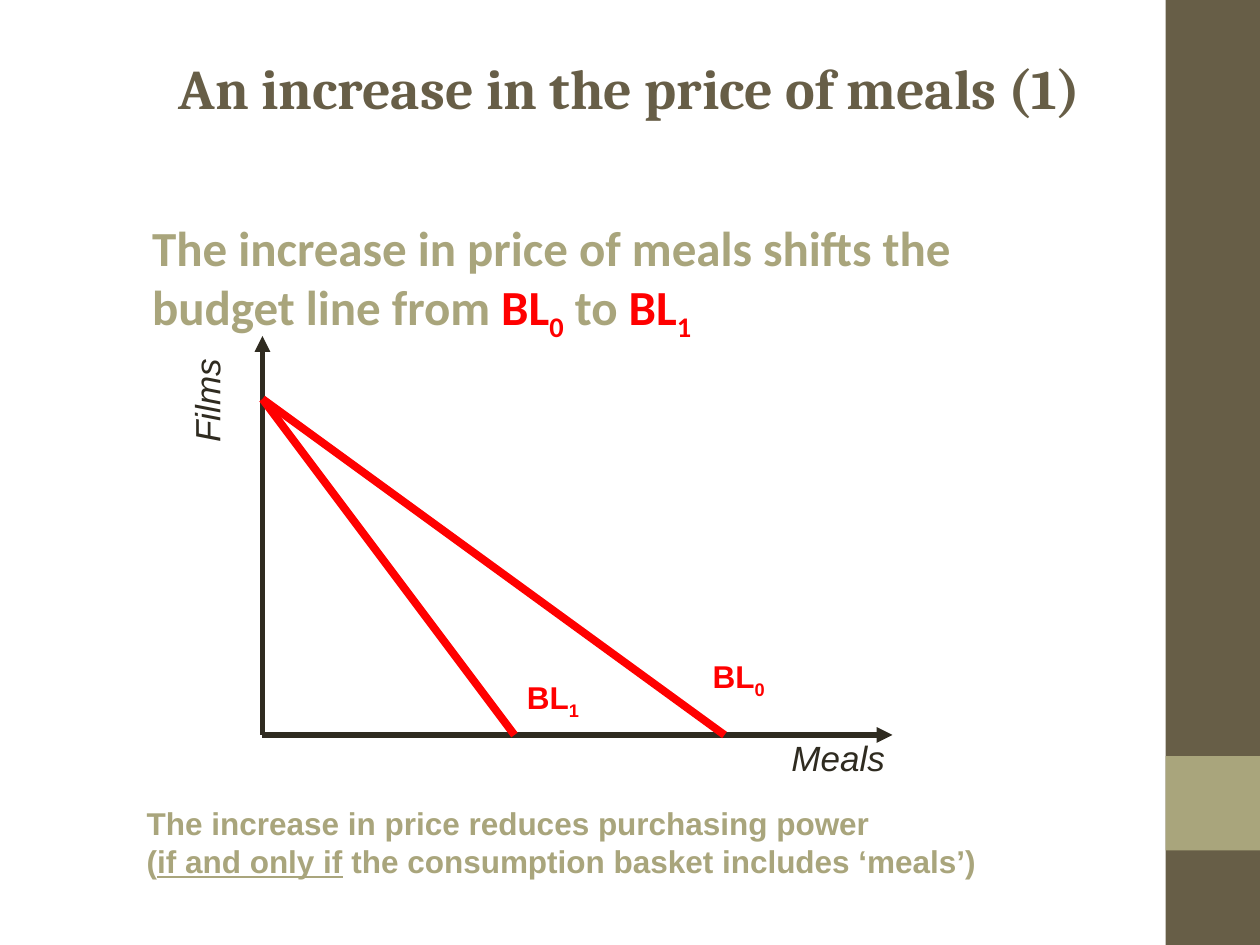
from dataclasses import dataclass, field
from typing import Any

from lxml import etree
from pptx import Presentation
from pptx import util as u
from pptx.dml.color import RGBColor
from pptx.enum import shapes, text
from pptx.oxml import ns

HUES = {"dark": "675E47", "sage": "A9A57C", "ink": "2F2B20", "red": "FF0000"}
COLS, ROWS = 120, 90
WIDE, HIGH = u.Inches(10), u.Inches(7.5)

HEAD = {"name": "Cambria", "size": u.Pt(32), "bold": True}
LEAD = {"name": "Calibri", "size": u.Pt(28), "bold": True}
NOTE = {"name": "Arial", "size": u.Pt(18), "bold": True}
AXIS = {"name": "Arial", "size": u.Pt(20), "italic": True}


@dataclass
class Run:
    words: str
    hue: str
    more: dict[str, Any] = field(default_factory=dict)
    sub: bool = False


@dataclass
class Label:
    area: tuple[float, float, float, float]
    style: dict[str, Any]
    lines: list[list[Run]]
    turn: int = 0


@dataclass
class Line:
    start: tuple[float, float]
    end: tuple[float, float]
    hue: str
    width: float
    arrow: bool = False


def tint(name: str) -> RGBColor:
    return RGBColor.from_string(HUES[name])


def place(col: float, row: float) -> tuple[int, int]:
    return round(WIDE * col / COLS), round(HIGH * row / ROWS)


def span(area: tuple[float, float, float, float]) -> tuple[int, int, int, int]:
    return place(*area[:2]) + place(*area[2:])


def budget(sign: str) -> list[Run]:
    return [Run("BL", "red"), Run(sign, "red", sub=True)]


def write(frame: Any, lines: list[list[Run]], style: dict[str, Any]) -> None:
    for i, line in enumerate(lines):
        para = frame.paragraphs[0] if i == 0 else frame.add_paragraph()
        for item in line:
            run = para.add_run()
            run.text = item.words
            for key, val in {**style, **item.more}.items():
                setattr(run.font, key, val)
            run.font.color.rgb = tint(item.hue)
            if item.sub:
                run.font._element.set("baseline", "-25000")


def draw_label(slide: Any, label: Label) -> None:
    box = slide.shapes.add_textbox(*span(label.area))
    box.rotation = label.turn
    box.text_frame.word_wrap = True
    write(box.text_frame, label.lines, label.style)


def draw_line(slide: Any, line: Line) -> None:
    link = slide.shapes.add_connector(
        shapes.MSO_CONNECTOR.STRAIGHT, *place(*line.start), *place(*line.end))
    link.line.color.rgb = tint(line.hue)
    link.line.width = u.Pt(line.width)
    if line.arrow:
        etree.SubElement(link.line._get_or_add_ln(), ns.qn("a:tailEnd"), type="triangle")
    etree.SubElement(link._element.spPr, ns.qn("a:effectLst"))


def draw_band(slide: Any, area: tuple[float, float, float, float], hue: str) -> None:
    band = slide.shapes.add_shape(shapes.MSO_SHAPE.RECTANGLE, *span(area))
    band.shadow.inherit = False
    band.fill.solid()
    band.fill.fore_color.rgb = tint(hue)
    band.line.fill.background()


def draw_title(slide: Any, words: str) -> None:
    title = slide.shapes.title
    title.left, title.top, title.width, title.height = span((9, 4.5, 102, 14.5))
    title.text_frame.vertical_anchor = text.MSO_ANCHOR.TOP
    title.text_frame.paragraphs[0].alignment = text.PP_ALIGN.CENTER
    write(title.text_frame, [[Run(words, "dark")]], HEAD)


ZERO, PEAK = (25, 70), (25, 38)
LINES = [
    Line(ZERO, (85, 70), "ink", 3, True),
    Line(ZERO, (25, 32), "ink", 3, True),
    Line(PEAK, (69, 70), "red", 4.5),
    Line(PEAK, (49, 70), "red", 4.5),
]
LABELS = [
    Label((13.3, 20.1, 80, 13.2), LEAD, [
        [Run("The increase in price of meals shifts the", "sage")],
        [Run("budget line from ", "sage"), *budget("0"), Run(" to ", "sage"), *budget("1")],
    ]),
    Label((74.2, 69.6, 12, 5.3), AXIS, [[Run("Meals", "ink")]]),
    Label((14.1, 35.1, 11.2, 5.3), AXIS, [[Run("Films", "ink")]], 270),
    Label((66.7, 62, 8, 5.3), NOTE, [budget("0")]),
    Label((49, 64, 8, 5.3), NOTE, [budget("1")]),
    Label((12.8, 76, 83, 8.4), NOTE, [
        [Run("The increase in price reduces purchasing power", "sage")],
        [Run("(", "sage"), Run("if and only if", "sage", {"underline": True}),
         Run(" the consumption basket includes ‘meals’)", "sage")],
    ]),
]


def main() -> None:
    deck = Presentation()
    deck.slide_width, deck.slide_height = WIDE, HIGH
    slide = deck.slides.add_slide(deck.slide_layouts[5])
    draw_band(slide, (111, 0, 9, 90), "dark")
    draw_band(slide, (111, 72, 9, 9), "sage")
    draw_title(slide, "An increase in the price of meals (1)")
    for line in LINES:
        draw_line(slide, line)
    for label in LABELS:
        draw_label(slide, label)
    deck.save("out.pptx")


if __name__ == "__main__":
    main()
